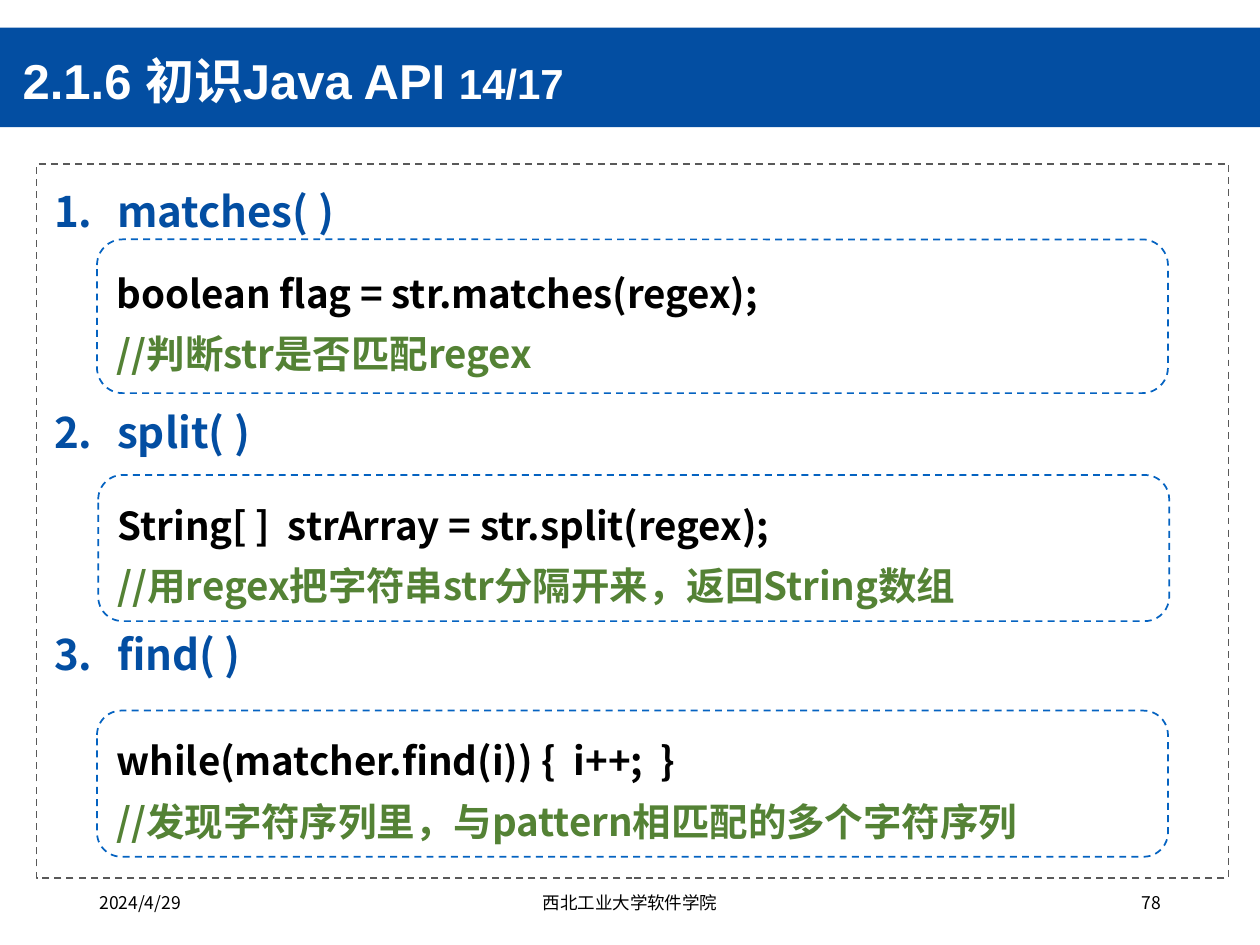
import pptx
import pptx.util
import pptx.dml.color
import pptx.enum.dml
import pptx.enum.shapes
import pptx.enum.text
import pptx.oxml.ns
from dataclasses import dataclass
from lxml import etree

Inches, Pt = pptx.util.Inches, pptx.util.Pt
ALIGN = pptx.enum.text.PP_ALIGN
ANCHOR = pptx.enum.text.MSO_ANCHOR
KIND = pptx.enum.shapes.MSO_SHAPE
qn = pptx.oxml.ns.qn


@dataclass(frozen=True)
class Theme:
    blue: str = "034EA2"
    white: str = "FFFFFF"
    black: str = "000000"
    green: str = "548235"
    edge: str = "0563C1"
    gray: str = "595959"
    latin: str = "Arial"
    sans: str = "Noto Sans CJK SC"
    title: int = 28
    page: int = 24
    head: int = 24
    code: int = 22
    foot: int = 10


T = Theme()

METHODS = [
    ("matches( )", 0.77, 1.22, "boolean flag = str.matches(regex);",
     "//判断str是否匹配regex"),
    ("split( )", 0.78, 1.16, "String[ ]  strArray = str.split(regex);",
     "//用regex把字符串str分隔开来，返回String数组"),
    ("find( )", 0.77, 1.16, "while(matcher.find(i)) {  i++;  }",
     "//发现字符序列里，与pattern相匹配的多个字符序列"),
]


def rgb(code):
    return pptx.dml.color.RGBColor.from_string(code)


def apply(item, values):
    for name, value in values.items():
        setattr(item, name, value)


def place(shape, box):
    names = ("left", "top", "width", "height")
    apply(shape, dict(zip(names, map(Inches, box))))


def write(para, text, size, color, bold=True, face=T.sans):
    run = para.add_run()
    run.text = text
    apply(run.font, {"size": Pt(size), "bold": bold, "name": face})
    run.font.color.rgb = rgb(color)
    east = etree.SubElement(run._r.get_or_add_rPr(), qn("a:ea"))
    east.set("typeface", T.sans)


def hang(para):
    props = para._p.get_or_add_pPr()
    props.set("marL", str(Inches(0.5)))
    props.set("indent", str(Inches(-0.5)))
    return props


def panel(slide, kind, box, fill=None, line=None):
    shape = slide.shapes.add_shape(kind, *map(Inches, box))
    shape.shadow.inherit = False
    if fill:
        shape.fill.solid()
        shape.fill.fore_color.rgb = rgb(fill)
    else:
        shape.fill.background()
    if line:
        shape.line.color.rgb = rgb(line)
        apply(shape.line, {"width": Pt(1),
                           "dash_style": pptx.enum.dml.MSO_LINE.DASH})
    else:
        shape.line.fill.background()
    return shape


def back(slide, shape):
    # Put the shape behind the placeholders
    slide.shapes._spTree.insert(2, shape._element)


def header(slide, box):
    left, top, width, height = box
    back(slide, panel(slide, KIND.RECTANGLE, box, fill=T.blue))
    title = slide.shapes.title
    place(title, (left + 0.08, top + 0.11, 7.35, 0.66))
    apply(title.text_frame, {"vertical_anchor": ANCHOR.MIDDLE,
                             "word_wrap": True,
                             "auto_size": pptx.enum.text.MSO_AUTO_SIZE.NONE})
    para = title.text_frame.paragraphs[0]
    apply(para, {"alignment": ALIGN.LEFT, "line_spacing": 0.9})
    write(para, "2.1.6 初识Java API ", T.title, T.white, face=T.latin)
    write(para, "14/17", T.page, T.white, face=T.latin)


def heads(slide, box):
    body = slide.placeholders[1]
    place(body, box)
    frame = body.text_frame
    apply(frame, {"vertical_anchor": ANCHOR.TOP, "word_wrap": True,
                  "auto_size": pptx.enum.text.MSO_AUTO_SIZE.NONE})
    for i, method in enumerate(METHODS):
        para = frame.add_paragraph() if i else frame.paragraphs[0]
        apply(para, {"alignment": ALIGN.LEFT, "line_spacing": 1.2,
                     "space_before": Pt(92 if i else 0)})
        props = hang(para)
        tint = etree.SubElement(props, qn("a:buClr"))
        etree.SubElement(tint, qn("a:srgbClr")).set("val", T.blue)
        etree.SubElement(props, qn("a:buFont")).set("typeface", "+mj-lt")
        number = etree.SubElement(props, qn("a:buAutoNum"))
        number.set("type", "arabicPeriod")
        write(para, method[0], T.head, T.blue)


def card(slide, box, code, note):
    shape = panel(slide, KIND.ROUNDED_RECTANGLE, box, line=T.edge)
    shape.adjustments[0] = 0.167
    frame = shape.text_frame
    apply(frame, {"vertical_anchor": ANCHOR.MIDDLE, "word_wrap": False})
    rows = ((code, T.black), (note, T.green))
    for i, (text, color) in enumerate(rows):
        para = frame.add_paragraph() if i else frame.paragraphs[0]
        apply(para, {"alignment": ALIGN.LEFT, "line_spacing": 1.3})
        hang(para)
        write(para, text, T.code, color)


def content(slide, box):
    left, top, width, height = box
    back(slide, panel(slide, KIND.RECTANGLE, box, line=T.gray))
    heads(slide, (left + 0.04, top + 0.04, width - 0.08, height - 0.11))
    for i, (_, x, tall, code, note) in enumerate(METHODS):
        card(slide, (x, top + 0.6 + 1.87 * i, 8.5, tall), code, note)


def footer(slide, box):
    left, top, width, height = box
    parts = (("2024/4/29", 0, 2.25, ALIGN.LEFT),
             ("西北工业大学软件学院", 2.62, 3.38, ALIGN.CENTER),
             ("78", width - 2.25, 2.25, ALIGN.RIGHT))
    for text, x, wide, align in parts:
        area = map(Inches, (left + x, top, wide, height))
        frame = slide.shapes.add_textbox(*area).text_frame
        frame.word_wrap = True
        para = frame.paragraphs[0]
        para.alignment = align
        write(para, text, T.foot, T.black, bold=False)


def main():
    deck = pptx.Presentation()
    apply(deck, {"slide_width": Inches(10), "slide_height": Inches(7.5)})
    slide = deck.slides.add_slide(deck.slide_layouts[1])
    header(slide, (0, 0.22, 10, 0.79))
    content(slide, (0.29, 1.3, 9.46, 5.67))
    footer(slide, (0.69, 7.03, 8.62, 0.4))
    deck.save("out.pptx")


if __name__ == "__main__":
    main()
